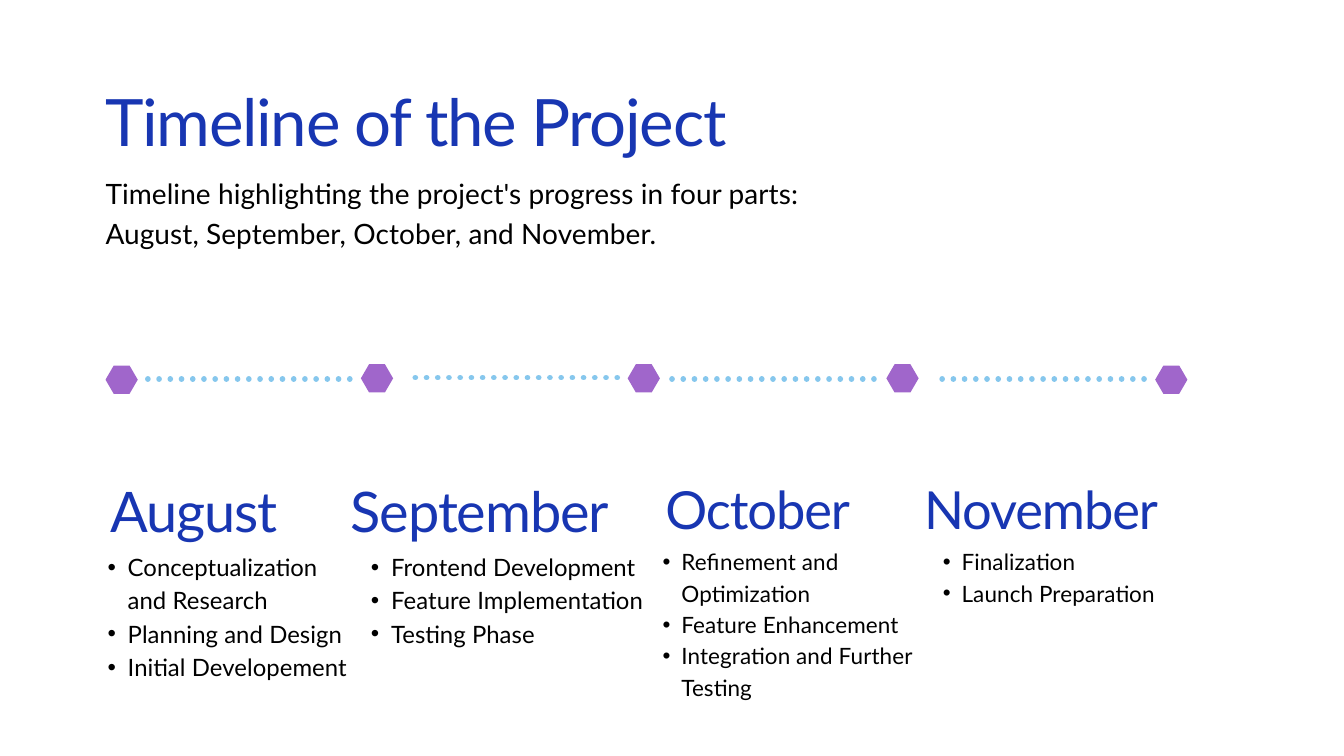
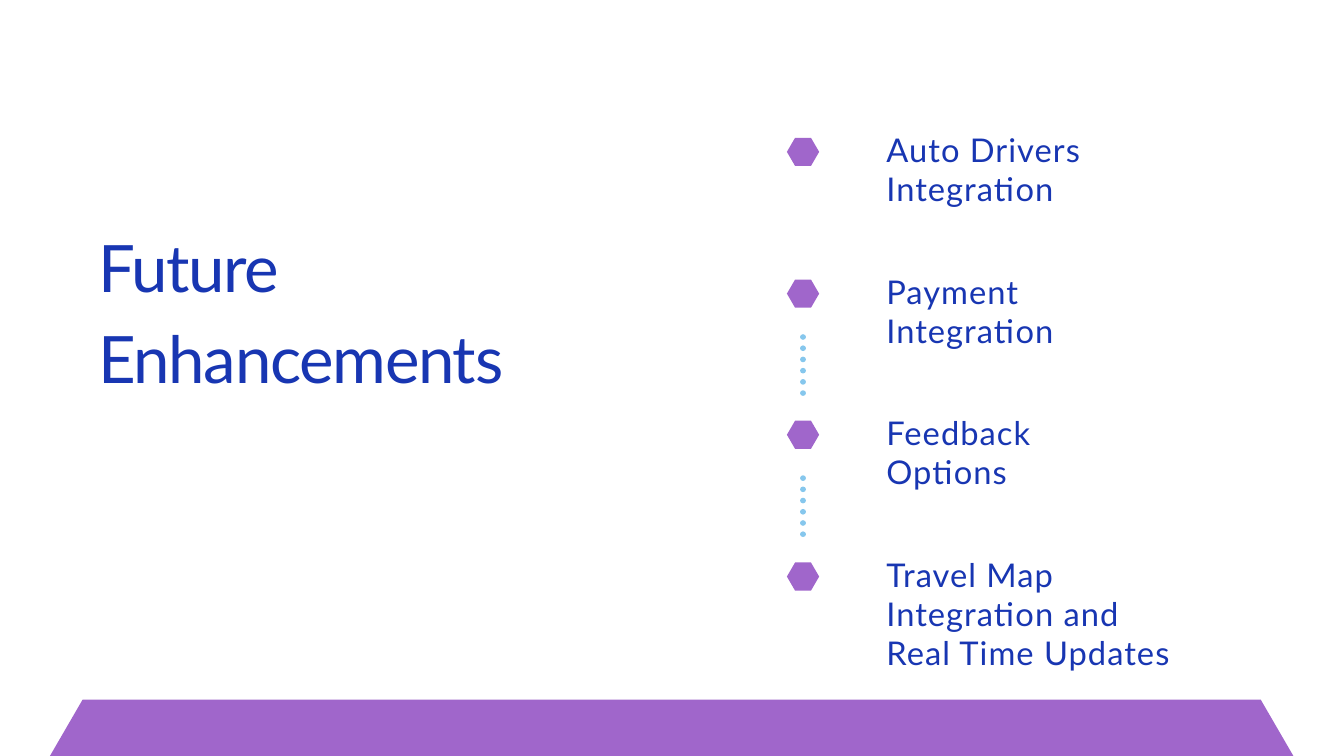
from lxml import etree
from pptx import Presentation
from pptx import util as u
from pptx.dml import color
from pptx.enum import dml, shapes, text
from pptx.oxml import ns

PX = 9144
FONT = "Lato"
COLOURS = {"heading": "1836B2", "body": "000000", "hexagon": "A066CB", "dots": "86C7ED"}


def px(*lengths):
    return [u.Emu(length * PX) for length in lengths]


def write(box, lines, at, size, colour="heading", tracking=0, leading=1.4, hang=0):
    box.left, box.top, box.width, box.height = px(*at)
    frame = box.text_frame
    frame.word_wrap = True
    frame.auto_size = text.MSO_AUTO_SIZE.NONE
    frame.vertical_anchor = text.MSO_ANCHOR.TOP
    frame.margin_left = frame.margin_top = frame.margin_right = frame.margin_bottom = 0
    for number, line in enumerate(lines):
        para = frame.add_paragraph() if number else frame.paragraphs[0]
        para.alignment = text.PP_ALIGN.LEFT
        para.line_spacing = u.Pt(round(size * leading, 1))
        para.space_before = u.Pt(0)
        if hang:
            props = para._p.get_or_add_pPr()
            props.set("marL", str(2 * hang * PX))
            props.set("indent", str(-hang * PX))
            etree.SubElement(props, ns.qn("a:buChar")).set("char", "•")
        span = para.add_run()
        span.text = line
        span.font.name = FONT
        span.font.size = u.Pt(size)
        span.font.bold = False
        span.font.color.rgb = color.RGBColor.from_string(COLOURS[colour])
        span._r.get_or_add_rPr().set("spc", str(round(tracking * 100)))


deck = Presentation()
deck.slide_width, deck.slide_height = px(2000, 1125)

timeline = deck.slides.add_slide(deck.slide_layouts.get_by_name("Comparison"))
write(timeline.shapes.title, ["Timeline of the Project"], (157, 102, 1091, 127), 70, tracking=-1.4)
write(timeline.shapes.add_textbox(0, 0, 0, 0),
      ["Timeline highlighting the project's progress in four parts: "
       "August, September, October, and November."],
      (157, 255, 1091, 114), 30, colour="body", tracking=0.1)

months = [
    ("August", 164, 130, 406, 693, 815, 59.9, 25.6, 30,
     ["Conceptualization and Research", "Planning and Design", "Initial Developement"]),
    ("September", 522, 522, 478, 693, 815, 59.9, 25.6, 30,
     ["Frontend Development", "Feature Implementation", "Testing Phase"]),
    ("October", 990, 958, 444, 694, 809, 56.2, 24.1, 28,
     ["Refinement and Optimization", "Feature Enhancement", "Integration and Further Testing"]),
    ("November", 1375, 1375, 368, 694, 809, 56.2, 24.1, 28,
     ["Finalization", "Launch Preparation"]),
]
bodies = [holder for holder in timeline.placeholders if holder.placeholder_format.idx > 0]
for body, month in zip(bodies, months):
    name, name_left, left, width, name_top, top, name_size, size, hang, tasks = month
    write(timeline.shapes.add_textbox(0, 0, 0, 0), [name],
          (name_left, name_top, width, 109), name_size, tracking=-0.02 * name_size)
    write(body, tasks, (left, top, width, 242), size,
          colour="body", tracking=0.1, hang=hang)

future = deck.slides.add_slide(deck.slide_layouts.get_by_name("Title Only"))
write(future.shapes.title, ["Future Enhancements"], (146, 318, 753, 266), 70, tracking=-1.4)

hexagons = [(timeline, left, top, 48, 42) for left, top in
            [(157, 544), (537, 542), (934, 542), (1319, 542), (1719, 544)]]
dots = [(timeline, left, y, left + 302, y) for left, y in
        [(220, 564), (618, 562), (1000, 564), (1402, 564)]]

enhancements = ["Auto Drivers Integration", "Payment Integration", "Feedback Options",
                "Travel Map Integration and Real Time Updates"]
for row, enhancement in enumerate(enhancements):
    top = round(193 + row * 210.6)
    width = 456 if row == 3 else 371
    write(future.shapes.add_textbox(0, 0, 0, 0), [enhancement],
          (1319, top, width, 176), 35, tracking=1.1, leading=1.2)
    hexagons.append((future, 1171, top + 12, 48, 42))
    if row in (1, 2):
        dots.append((future, 1195, top + 181, 1195, top + 87))
hexagons.append((future, 74, 1041, 1851, 169))

for page, *at in hexagons:
    hexagon = page.shapes.add_shape(shapes.MSO_SHAPE.HEXAGON, *px(*at))
    hexagon.adjustments[0] = 0.29
    hexagon.shadow.inherit = False
    hexagon.fill.solid()
    hexagon.fill.fore_color.rgb = color.RGBColor.from_string(COLOURS["hexagon"])
    hexagon.line.fill.background()

for page, *ends in dots:
    line = page.shapes.add_connector(shapes.MSO_CONNECTOR.STRAIGHT, *px(*ends))
    line.line.color.rgb = color.RGBColor.from_string(COLOURS["dots"])
    line.line.width = u.Pt(6)
    line.line.dash_style = dml.MSO_LINE.ROUND_DOT
    line.line._get_or_add_ln().set("cap", "rnd")
    etree.SubElement(line._element.spPr, ns.qn("a:effectLst"))

deck.save("out.pptx")
